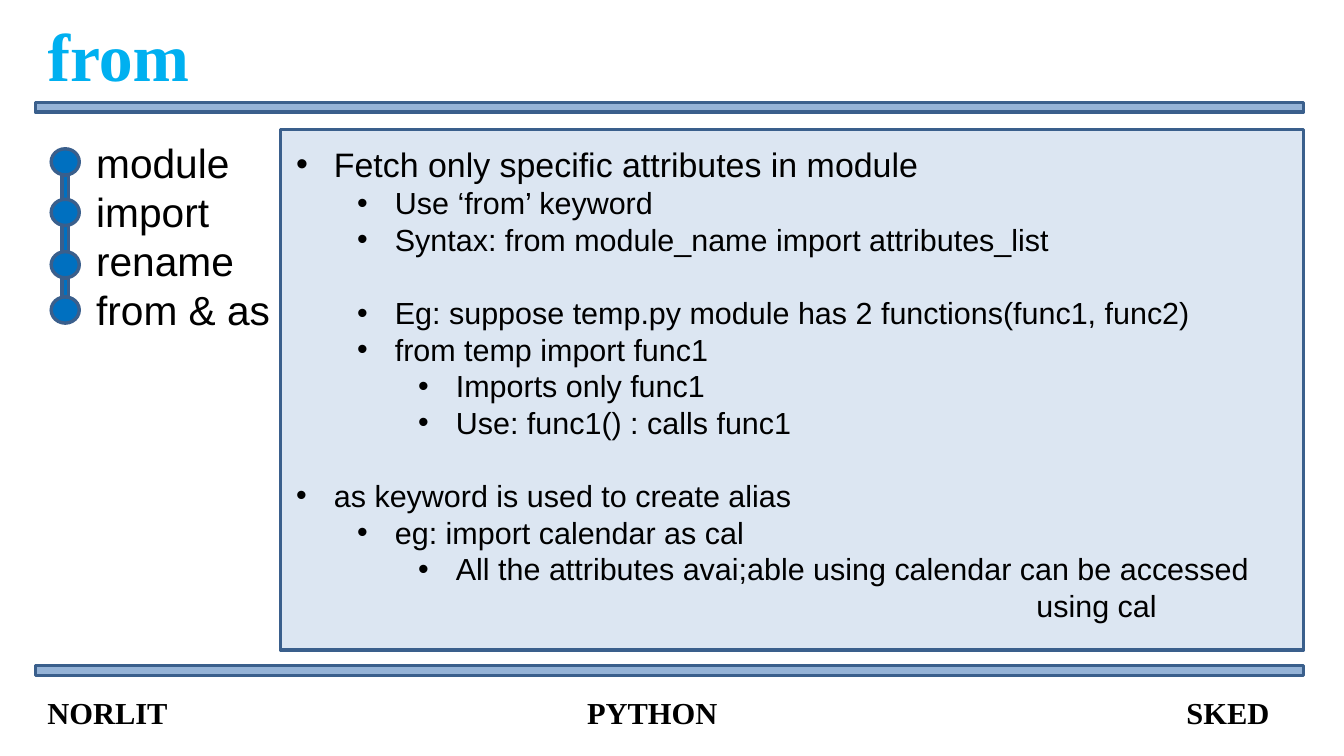
import pptx
import pptx.dml.color
import pptx.enum.shapes
import pptx.enum.text
import pptx.oxml.ns
import pptx.util
from collections import namedtuple
from lxml import etree

RGBColor = pptx.dml.color.RGBColor
BLACK = RGBColor(0x00, 0x00, 0x00)
SKY = RGBColor(0x00, 0xB0, 0xF0)
BLUE = RGBColor(0x00, 0x70, 0xC0)
EDGE = RGBColor(0x3A, 0x5F, 0x8C)
RULE = RGBColor(0x95, 0xB3, 0xD7)
PANEL = RGBColor(0xDC, 0xE6, 0xF2)

WIDTH = pptx.util.Inches(11.02)
HEIGHT = pptx.util.Inches(6.2)
SANS, SERIF = "Arial", "Times New Roman"
LINE_FACTOR = 1.2
RECTANGLE = pptx.enum.shapes.MSO_SHAPE.RECTANGLE
OVAL = pptx.enum.shapes.MSO_SHAPE.OVAL

Box = namedtuple("Box", "left top width height")

TOPICS = ["module", "import", "rename", "from & as"]
# Level, size, blank lines before, text
POINTS = [
    (0, 20, 0, "Fetch only specific attributes in module"),
    (1, 18, 0, "Use ‘from’ keyword"),
    (1, 18, 0, "Syntax: from module_name import attributes_list"),
    (1, 18, 1, "Eg: suppose temp.py module has 2 functions(func1, func2)"),
    (1, 18, 0, "from temp import func1"),
    (2, 18, 0, "Imports only func1"),
    (2, 18, 0, "Use: func1() : calls func1"),
    (0, 18, 1, "as keyword is used to create alias"),
    (1, 18, 0, "eg: import calendar as cal"),
    (2, 18, 0, "All the attributes avai;able using calendar can be accessed"),
]
CLOSING = "using cal"


def area(left, top, width, height):
    """Turn percentages of the slide into a box."""
    return Box(int(WIDTH * left / 100), int(HEIGHT * top / 100),
               int(WIDTH * width / 100), int(HEIGHT * height / 100))


def add_block(slide, kind, box, fill):
    shape = slide.shapes.add_shape(kind, *box)
    shape.shadow.inherit = False
    shape.fill.solid()
    shape.fill.fore_color.rgb = fill
    shape.line.color.rgb = EDGE
    shape.line.width = pptx.util.Pt(2)


def add_text_frame(slide, box):
    frame = slide.shapes.add_textbox(*box).text_frame
    frame.word_wrap = True
    return frame


def write(paragraph, text, size, name, color=BLACK, bold=False):
    paragraph.text = text
    font = paragraph.font
    font.size, font.name, font.bold = pptx.util.Pt(size), name, bold
    font.color.rgb = color


def next_paragraph(frame, index):
    return frame.add_paragraph() if index else frame.paragraphs[0]


def set_indent(paragraph, left, hanging=0):
    properties = paragraph._p.get_or_add_pPr()
    properties.set("marL", str(pptx.util.Inches(left)))
    properties.set("indent", str(-pptx.util.Inches(hanging)))
    return properties


def add_child(parent, tag, **attributes):
    child = etree.SubElement(parent, pptx.oxml.ns.qn(tag))
    for key, value in attributes.items():
        child.set(key, value)
    return child


def build_title(slide, box):
    title = slide.shapes.title
    title.left, title.top, title.width, title.height = box
    frame = title.text_frame
    frame.auto_size = pptx.enum.text.MSO_AUTO_SIZE.NONE
    frame.vertical_anchor = pptx.enum.text.MSO_ANCHOR.TOP
    paragraph = frame.paragraphs[0]
    write(paragraph, "from", 40, SERIF, SKY, True)
    paragraph.alignment = pptx.enum.text.PP_ALIGN.LEFT


def build_points(slide, box):
    frame = add_text_frame(slide, box)
    for index, (level, size, gap, text) in enumerate(POINTS):
        paragraph = next_paragraph(frame, index)
        write(paragraph, text, size, SANS)
        paragraph.level = level
        line = pptx.util.Pt(size * LINE_FACTOR)
        paragraph.line_spacing = line
        paragraph.space_before = gap * line
        properties = set_indent(paragraph, 0.31 + level / 2, 0.31)
        bullet_font = etree.Element(pptx.oxml.ns.qn("a:buFont"), typeface=SANS)
        bullet = etree.Element(pptx.oxml.ns.qn("a:buChar"), char="•")
        position = properties.index(properties.find(pptx.oxml.ns.qn("a:defRPr")))
        properties.insert(position, bullet)
        properties.insert(position, bullet_font)
    # Closing words, set far to the right
    paragraph = frame.add_paragraph()
    write(paragraph, CLOSING, 18, SANS)
    paragraph.level = 2
    paragraph.line_spacing = pptx.util.Pt(18 * LINE_FACTOR)
    set_indent(paragraph, 6.07)


def build_topics(slide, box):
    frame = add_text_frame(slide, box)
    for index, topic in enumerate(TOPICS):
        paragraph = next_paragraph(frame, index)
        write(paragraph, topic, 24, SANS)
        paragraph.line_spacing = pptx.util.Pt(24 * LINE_FACTOR)


def build_track(slide, box):
    node = int(box.height * 0.15)
    bar = int(box.width * 0.22)
    tops = [box.top + int(box.height * share) for share in (0, 0.29, 0.59, 0.85)]
    bar_left = box.left + (box.width - bar) // 2
    for top, following in zip(tops, tops[1:]):
        link = Box(bar_left, top + node, bar, following - top - node)
        add_block(slide, RECTANGLE, link, BLUE)
    for top in tops:
        add_block(slide, OVAL, Box(box.left, top, box.width, node), BLUE)


def build_footer(slide, box):
    paragraph = add_text_frame(slide, box).paragraphs[0]
    write(paragraph, "NORLIT\tPYTHON\tSKED", 18, SERIF, BLACK, True)
    properties = paragraph._p.get_or_add_pPr()
    stops = etree.Element(pptx.oxml.ns.qn("a:tabLst"))
    for position, alignment in ((4.96, "ctr"), (10.02, "r")):
        add_child(stops, "a:tab", pos=str(pptx.util.Inches(position)), algn=alignment)
    properties.insert(properties.index(properties.find(pptx.oxml.ns.qn("a:defRPr"))), stops)


def main():
    presentation = pptx.Presentation()
    presentation.slide_width, presentation.slide_height = WIDTH, HEIGHT
    slide = presentation.slides.add_slide(presentation.slide_layouts[5])

    # Frame of the slide
    for top in (13.55, 88.06):
        add_block(slide, RECTANGLE, area(2.63, top, 94.37, 1.29), RULE)
    build_title(slide, area(2.63, 0.97, 94.37, 12.42))

    # Main panel
    add_block(slide, RECTANGLE, area(20.87, 17.1, 76.13, 68.87), PANEL)
    build_points(slide, area(21.14, 18.23, 75.68, 70.65))

    # Footer and topic list
    build_footer(slide, area(2.63, 90.97, 94.37, 6.13))
    build_topics(slide, area(6.26, 17.5, 92.92, 27.74))
    build_track(slide, area(3.81, 19.68, 2.09, 23.06))

    presentation.save("out.pptx")


if __name__ == "__main__":
    main()
